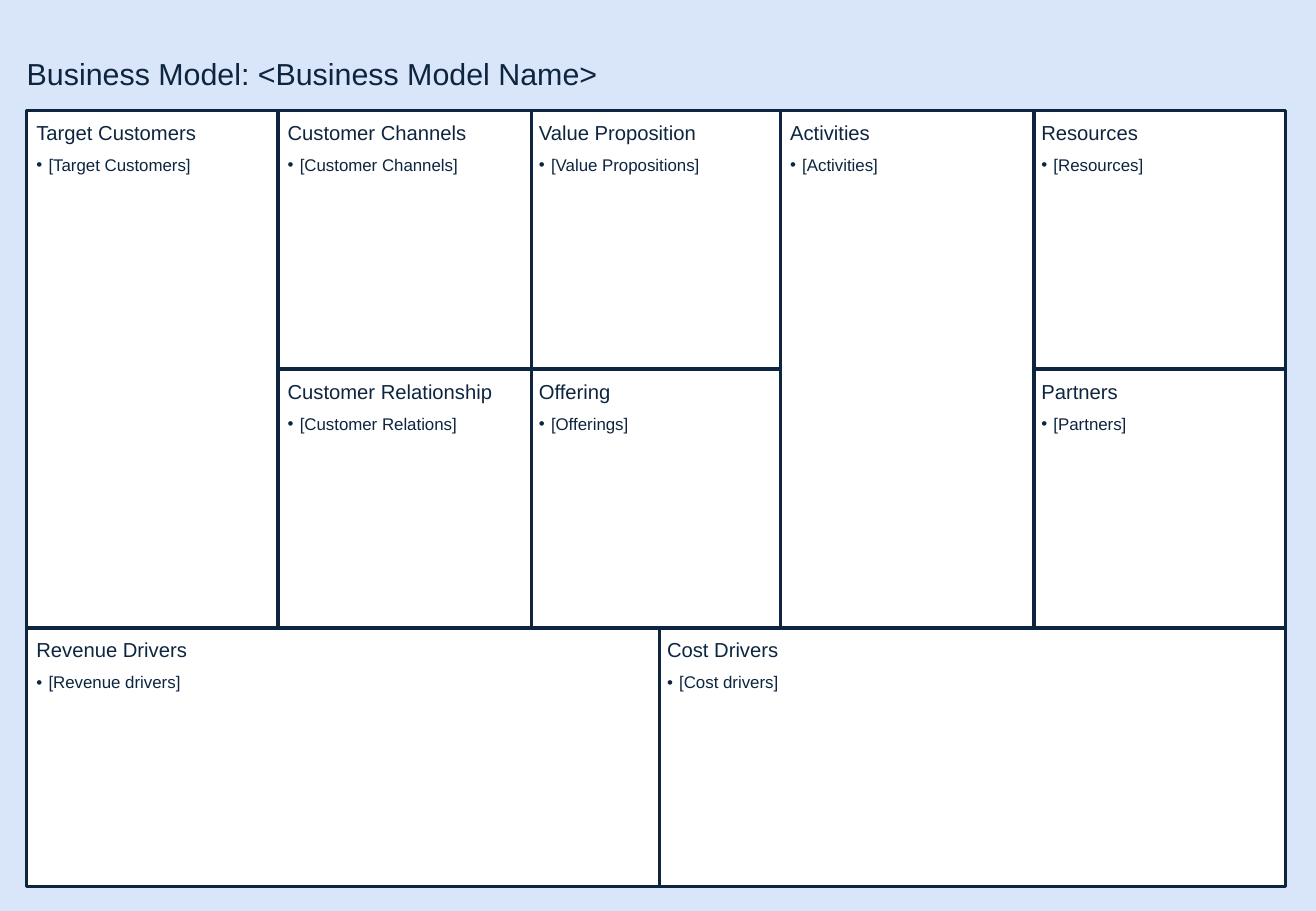
from dataclasses import dataclass

from lxml.etree import SubElement
from pptx import Presentation
from pptx.dml.color import RGBColor
from pptx.enum.shapes import MSO_SHAPE
from pptx.enum.text import MSO_ANCHOR, MSO_AUTO_SIZE, PP_ALIGN
from pptx.oxml.ns import qn
from pptx.util import Inches, Pt


@dataclass(frozen=True)
class Theme:
    ink: str = "0D253F"
    paper: str = "FFFFFF"
    back: str = "D9E5F8"
    font: str = "Arial"
    title: int = 18
    head: int = 12
    item: int = 10
    line: int = 2


@dataclass(frozen=True)
class Grid:
    left: float = 0.22
    top: float = 0.91
    col: float = 8.27 / 4
    row: float = 2.13
    lap: float = 0.02  # neighbours share a border

    def place(self, col, row, cols, rows):
        return [Inches(n) for n in (
            self.left + col * self.col, self.top + row * self.row,
            cols * self.col + self.lap, rows * self.row)]


THEME = Theme()
GRID = Grid()
PAD = 0.08
DENT = 0.1

# heading, item, column, row, columns wide, rows high
CELLS = [
    ("Target Customers", "[Target Customers]", 0, 0, 1, 2),
    ("Value Proposition", "[Value Propositions]", 2, 0, 1, 1),
    ("Cost Drivers", "[Cost drivers]", 2.51, 2, 2.49, 1),
    ("Revenue Drivers", "[Revenue drivers]", 0, 2, 2.51, 1),
    ("Customer Channels", "[Customer Channels]", 1, 0, 1, 1),
    ("Resources", "[Resources]", 4, 0, 1, 1),
    ("Offering", "[Offerings]", 2, 1, 1, 1),
    ("Customer Relationship", "[Customer Relations]", 1, 1, 1, 1),
    ("Partners", "[Partners]", 4, 1, 1, 1),
    ("Activities", "[Activities]", 3, 0, 1, 2),
]


def paint(fill, color):
    fill.solid()
    fill.fore_color.rgb = RGBColor.from_string(color)


def style(para, size):
    para.alignment = PP_ALIGN.LEFT
    para.font.name = THEME.font
    para.font.size = Pt(size)
    para.font.color.rgb = RGBColor.from_string(THEME.ink)


def inset(frame, left, top, right, bottom):
    frame.margin_left, frame.margin_top = Inches(left), Inches(top)
    frame.margin_right, frame.margin_bottom = Inches(right), Inches(bottom)
    frame.vertical_anchor = MSO_ANCHOR.TOP
    frame.word_wrap = True


def bullet(para):
    props = para._p.get_or_add_pPr()
    props.set("marL", str(Inches(DENT)))
    props.set("indent", str(-Inches(DENT)))
    color = SubElement(props, qn("a:buClr"))
    SubElement(color, qn("a:srgbClr"), val=THEME.ink)
    SubElement(props, qn("a:buFont"), typeface=THEME.font)
    SubElement(props, qn("a:buChar"), char="•")
    para.line_spacing = 1.5


def add_box(slide, color, *area):
    box = slide.shapes.add_shape(MSO_SHAPE.RECTANGLE, *area)
    box.shadow.inherit = False
    paint(box.fill, color)
    box.line.fill.background()
    return box


def add_title(slide, text):
    """Fill the title and bring it in front of the backdrop."""
    title = slide.shapes.title
    title.left, title.top = Inches(GRID.left), Inches(0.37)
    title.width, title.height = Inches(6.77), Inches(0.38)
    frame = title.text_frame
    frame.text = text
    frame.auto_size = MSO_AUTO_SIZE.NONE
    inset(frame, 0, PAD, 0, 0)
    style(frame.paragraphs[0], THEME.title)
    slide.shapes._spTree.append(title._element)


def add_cell(slide, head, item, *spot):
    box = add_box(slide, THEME.paper, *GRID.place(*spot))
    paint(box.line.fill, THEME.ink)
    box.line.width = Pt(THEME.line)
    frame = box.text_frame
    inset(frame, PAD, PAD, PAD, PAD)
    frame.text = head
    style(frame.paragraphs[0], THEME.head)
    para = frame.add_paragraph()
    para.text = item
    style(para, THEME.item)
    bullet(para)


def main():
    deck = Presentation()
    deck.slide_width, deck.slide_height = Inches(10.83), Inches(7.5)
    slide = deck.slides.add_slide(deck.slide_layouts.get_by_name("Title Only"))
    add_box(slide, THEME.back, 0, 0, deck.slide_width, deck.slide_height)
    for cell in CELLS:
        add_cell(slide, *cell)
    add_title(slide, "Business Model: <Business Model Name>")
    deck.save("out.pptx")


if __name__ == "__main__":
    main()
